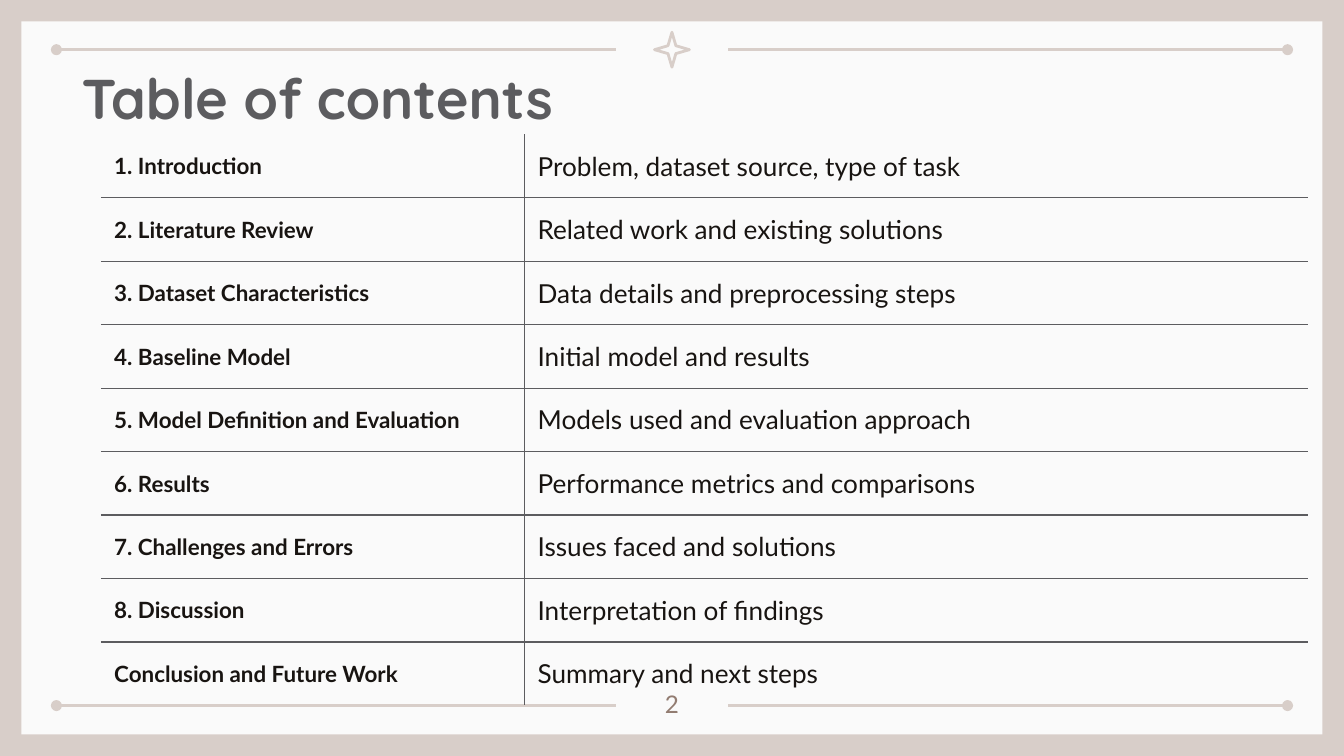
from dataclasses import dataclass

from lxml.etree import SubElement
from pptx import Presentation
from pptx.dml.color import RGBColor
from pptx.enum.shapes import MSO_CONNECTOR, MSO_SHAPE
from pptx.enum.text import MSO_ANCHOR, PP_ALIGN
from pptx.oxml.ns import qn
from pptx.util import Inches, Pt

W = 10
H = W * 9 / 16
COLORS = {
    "frame": "D8CEC9",
    "paper": "FAFAFA",
    "title": "5C5C5F",
    "text": "181411",
    "number": "927C71",
}


@dataclass
class Style:
    font: str
    size: float
    color: str
    bold: bool = False


@dataclass
class Topic:
    name: str
    detail: str


@dataclass
class Rule:
    left: float
    right: float
    y: float
    dot: str  # line end that carries the dot


TITLE = Style("Quicksand", 30, "title", True)
NAME = Style("Lato", 12, "text", True)
DETAIL = Style("Lato", 14, "text")
NUMBER = Style("Lato", 13, "number")

TOPICS = [
    Topic("1. Introduction", "Problem, dataset source, type of task"),
    Topic("2. Literature Review", "Related work and existing solutions"),
    Topic("3. Dataset Characteristics", "Data details and preprocessing steps"),
    Topic("4. Baseline Model", "Initial model and results"),
    Topic("5. Model Definition and Evaluation", "Models used and evaluation approach"),
    Topic("6. Results", "Performance metrics and comparisons"),
    Topic("7. Challenges and Errors", "Issues faced and solutions"),
    Topic("8. Discussion", "Interpretation of findings"),
    Topic("Conclusion and Future Work", "Summary and next steps"),
]

BORDER = 0.16
MARGIN, GAP = 0.42, 0.42  # rule to slide edge, rule to slide centre
RULES = [
    rule
    for y in (0.37, 5.25)
    for rule in (
        Rule(MARGIN, W / 2 - GAP, y, "headEnd"),
        Rule(W / 2 + GAP, W - MARGIN, y, "tailEnd"),
    )
]
TABLE_BOX = (0.75, 1, 8.98, 4.25)
COLUMNS = (3.15, 5.83)


def rgb(name: str) -> RGBColor:
    return RGBColor.from_string(COLORS[name])


def add_run(p, text: str, style: Style) -> None:
    r = p.add_run()
    r.text = text
    r.font.name, r.font.size, r.font.bold = style.font, Pt(style.size), style.bold
    r.font.color.rgb = rgb(style.color)


def add_text(s, box: tuple, text: str, style: Style, align=PP_ALIGN.LEFT) -> None:
    tf = s.shapes.add_textbox(*map(Inches, box)).text_frame
    tf.word_wrap = True
    tf.margin_left = tf.margin_right = tf.margin_top = tf.margin_bottom = Inches(0.1)
    p = tf.paragraphs[0]
    p.alignment = align
    add_run(p, text, style)


def add_rule(s, rule: Rule) -> None:
    line = s.shapes.add_connector(
        MSO_CONNECTOR.STRAIGHT,
        *map(Inches, (rule.left, rule.y, rule.right, rule.y)),
    )
    line.line.color.rgb = rgb("frame")
    line.line.width = Pt(1.5)
    SubElement(line.line._get_or_add_ln(), qn(f"a:{rule.dot}"), type="oval")
    SubElement(line._element.spPr, qn("a:effectLst"))


def set_borders(cell, sides: str) -> None:
    """Draw the sides named by their letters and hide the others."""
    tc_pr = cell._tc.get_or_add_tcPr()
    for side in "LRTB":
        ln = SubElement(tc_pr, qn(f"a:ln{side}"), w=str(Pt(0.75)))
        if side in sides:
            fill = SubElement(ln, qn("a:solidFill"))
            SubElement(fill, qn("a:srgbClr"), val=COLORS["title"])
        else:
            SubElement(ln, qn("a:noFill"))


def fill_cell(cell, text: str, style: Style, sides: str) -> None:
    cell.margin_left = cell.margin_right = Inches(0.1)
    cell.margin_top = cell.margin_bottom = 0
    cell.vertical_anchor = MSO_ANCHOR.MIDDLE
    set_borders(cell, sides)
    cell.fill.background()
    add_run(cell.text_frame.paragraphs[0], text, style)


def add_topics(s, topics: list[Topic]) -> None:
    table = s.shapes.add_table(len(topics), 2, *map(Inches, TABLE_BOX)).table
    table.first_row = table.horz_banding = False
    for column, width in zip(table.columns, COLUMNS):
        column.width = Inches(width)
    for i, topic in enumerate(topics):
        # Only the inner grid shows
        sides = ("T" if i > 0 else "") + ("B" if i < len(topics) - 1 else "")
        fill_cell(table.cell(i, 0), topic.name, NAME, sides + "R")
        fill_cell(table.cell(i, 1), topic.detail, DETAIL, sides + "L")


def main() -> None:
    prs = Presentation()
    prs.slide_width, prs.slide_height = Inches(W), Inches(H)
    s = prs.slides.add_slide(prs.slide_layouts[6])

    # Frame and paper
    s.background.fill.solid()
    s.background.fill.fore_color.rgb = rgb("frame")
    paper_box = (BORDER, BORDER, W - 2 * BORDER, H - 2 * BORDER)
    sp = s.shapes.add_shape(MSO_SHAPE.RECTANGLE, *map(Inches, paper_box))
    sp.shadow.inherit = False
    sp.fill.solid()
    sp.fill.fore_color.rgb = rgb("paper")
    sp.line.fill.background()

    # Rules and star
    for rule in RULES:
        add_rule(s, rule)
    star = s.shapes.add_shape(
        MSO_SHAPE.STAR_4_POINT, *map(Inches, (W / 2 - 0.13, 0.24, 0.26, 0.26))
    )
    star.adjustments[0] = 0.16
    star.shadow.inherit = False
    star.fill.background()
    star.line.color.rgb = rgb("frame")
    star.line.width = Pt(1.5)

    # Title, topics and page number
    add_text(s, (0.51, 0.37, 8.43, 0.63), "Table of contents", TITLE)
    add_topics(s, TOPICS)
    add_text(s, (W / 2 - 0.3, 5.03, 0.6, 0.36), "2", NUMBER, PP_ALIGN.CENTER)

    prs.save("out.pptx")


if __name__ == "__main__":
    main()
